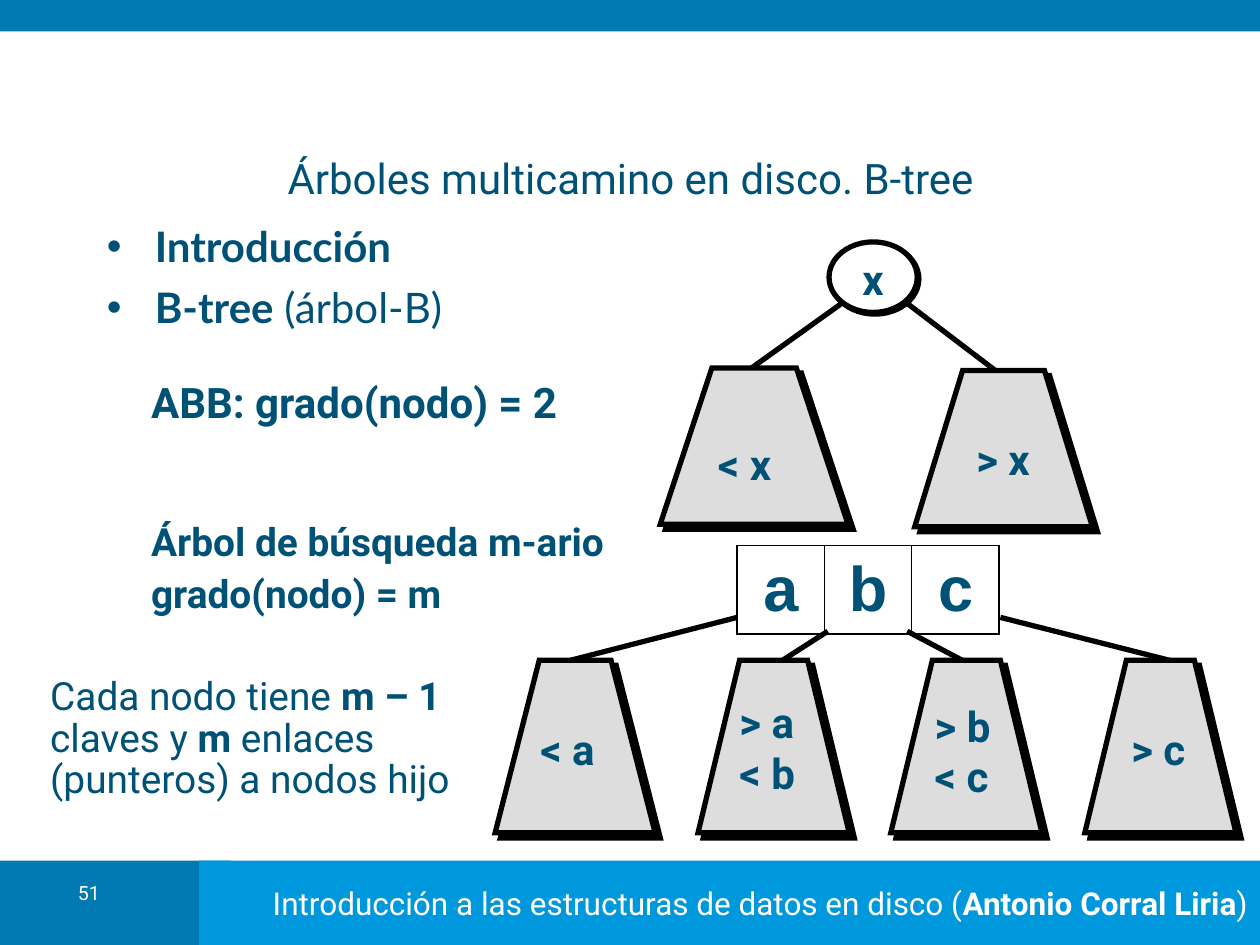
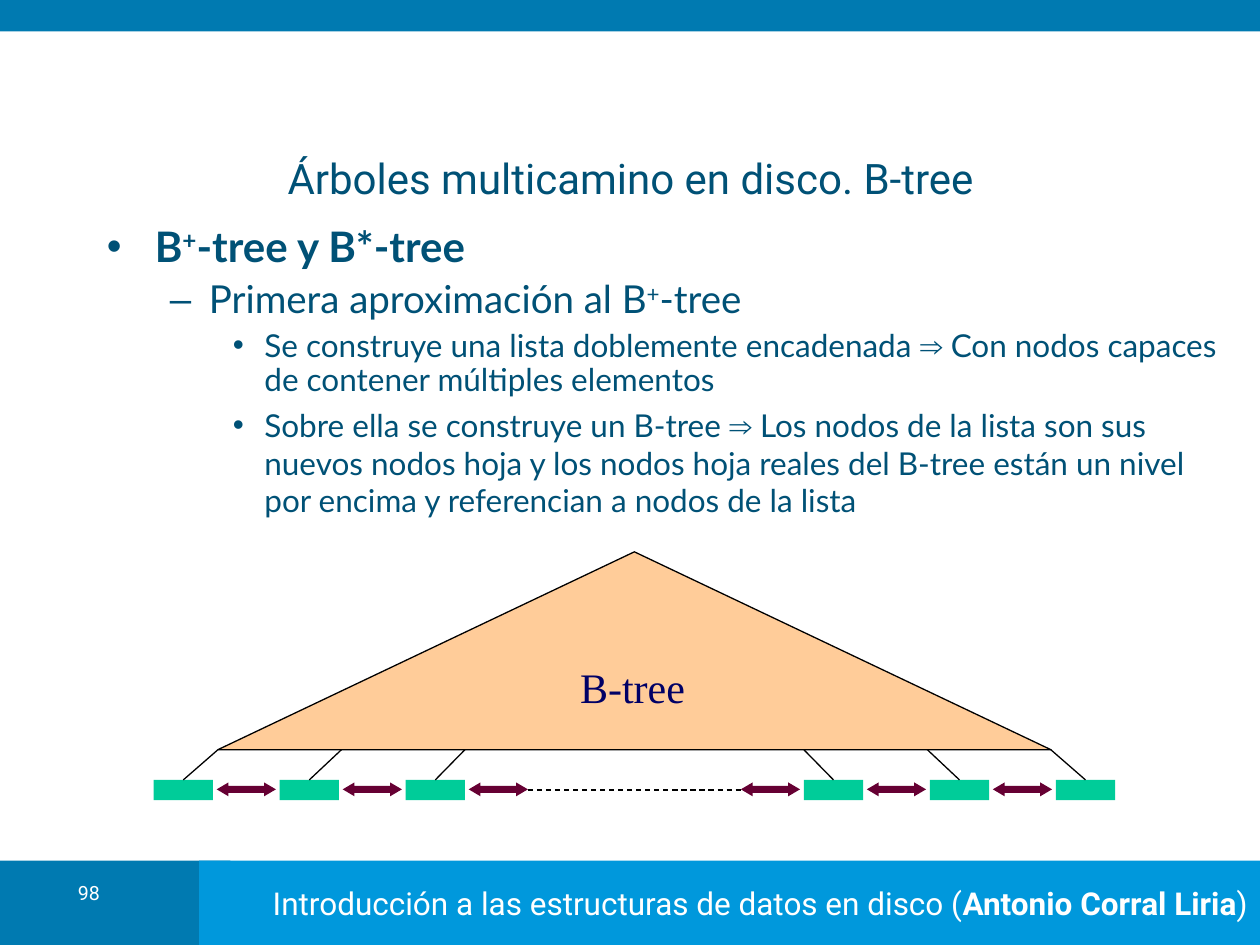
"""Build two slides on multiway trees on disk and B-trees."""
from dataclasses import dataclass
from typing import NamedTuple

from lxml import etree
from pptx import Presentation
from pptx import util as u
from pptx.dml import color as clr
from pptx.enum import dml, shapes as sh, text as tx
from pptx.oxml import ns


@dataclass(frozen=True)
class Theme:
    ink: str = "005176"
    navy: str = "000066"
    dark: str = "007AB1"
    light: str = "0098DC"
    white: str = "FFFFFF"
    black: str = "000000"
    gray: str = "DDDDDD"
    peach: str = "FFCC99"
    green: str = "00CC99"
    wine: str = "660033"
    sans: str = "Roboto"
    body: str = "Lato"
    arial: str = "Arial"
    serif: str = "Times New Roman"
    key: float = 36
    head: float = 24
    note: float = 22.2
    sub: float = 22
    foot: float = 18
    num: float = 11.2
    thick: float = 3
    thin: float = 0.75


T = Theme()


class Box(NamedTuple):
    x: float
    y: float
    w: float
    h: float


class Bit(NamedTuple):
    text: str
    bold: bool = False
    font: str = ""
    high: bool = False


class Mark(NamedTuple):
    char: str
    left: float
    hang: float


@dataclass(frozen=True)
class Para:
    bits: tuple[Bit, ...]
    size: float = T.head
    font: str = T.sans
    color: str = T.ink
    align: tx.PP_ALIGN = tx.PP_ALIGN.LEFT
    line: float = 1.0
    before: float = 0
    mark: Mark | None = None


@dataclass(frozen=True)
class Tree:
    box: Box
    inset: float
    text: str
    spot: Box


MID = tx.PP_ALIGN.CENTER
RECT = sh.MSO_SHAPE.RECTANGLE
TITLE = "Árboles multicamino en disco. B-tree"
BODY = Box(0.75, 1.7, 9.05, 5.12)
DOT = Mark("•", 0.38, 0.38)
DASH = Mark("–", 0.81, 0.31)
DEEP = Mark("•", 1.25, 0.25)

TREES = (
    Tree(Box(3.93, 5.24, 1.27, 1.37), 0.35, "< a", Box(4.19, 5.69, 1.18, 0.5)),
    Tree(Box(5.54, 5.24, 1.2, 1.37), 0.33, "> a\v< b", Box(5.77, 5.48, 0.85, 0.9)),
    Tree(Box(7.07, 5.24, 1.2, 1.37), 0.33, "> b\v< c", Box(7.32, 5.51, 0.85, 0.9)),
    Tree(Box(8.61, 5.24, 1.2, 1.37), 0.33, "> c", Box(8.88, 5.69, 0.85, 0.5)),
    Tree(Box(5.24, 2.92, 1.49, 1.24), 0.41, "< x", Box(5.6, 3.43, 1.13, 0.5)),
    Tree(Box(7.26, 2.94, 1.41, 1.24), 0.38, "> x", Box(7.65, 3.39, 1.13, 0.5)),
)
LINKS = (
    (7.2, 5.01, 7.75, 5.3), (7.94, 4.9, 9.32, 5.25),
    (5.85, 4.9, 4.53, 5.24), (6.57, 5.01, 6.18, 5.26),
    (6.9, 2.25, 5.91, 2.96), (6.94, 2.21, 8.03, 3.04),
)


def rgb(code: str) -> clr.RGBColor:
    return clr.RGBColor.from_string(code)


def emu(box: Box) -> list[u.Length]:
    return [u.Inches(v) for v in box]


def plain(*words: str, bold: bool = False, **look) -> list[Para]:
    return [Para((Bit(w, bold),), **look) for w in words]


def bullet(para, mark: Mark) -> None:
    props = para._p.get_or_add_pPr()
    props.set("marL", str(u.Inches(mark.left)))
    props.set("indent", str(-u.Inches(mark.hang)))
    tint = etree.SubElement(props, ns.qn("a:buClr"))
    etree.SubElement(tint, ns.qn("a:srgbClr"), val=T.ink)
    etree.SubElement(props, ns.qn("a:buFont"), typeface=T.arial)
    etree.SubElement(props, ns.qn("a:buChar"), char=mark.char)


def style(run, bit: Bit, look: Para) -> None:
    font = run.font
    font.name = bit.font or look.font
    font.size = u.Pt(look.size)
    font.bold = bit.bold
    font.color.rgb = rgb(look.color)
    if bit.high:
        run._r.get_or_add_rPr().set("baseline", "30000")


def write(frame, paras: list[Para], anchor=tx.MSO_ANCHOR.TOP) -> None:
    frame.word_wrap = True
    frame.auto_size = tx.MSO_AUTO_SIZE.NONE
    frame.vertical_anchor = anchor
    for i, look in enumerate(paras):
        para = frame.add_paragraph() if i else frame.paragraphs[0]
        if look.mark:
            bullet(para, look.mark)
        para.alignment = look.align
        para.line_spacing = look.line
        para.space_before = u.Pt(look.before if i else 0)
        if len(look.bits) == 1:
            para.text = look.bits[0].text
            for run in para.runs:
                style(run, look.bits[0], look)
        else:
            for bit in look.bits:
                run = para.add_run()
                run.text = bit.text
                style(run, bit, look)


def label(slide, box: Box, paras: list[Para]) -> None:
    write(slide.shapes.add_textbox(*emu(box)).text_frame, paras)


def paint(shape, fill: str, line: str = "", width: float = 0, drop: float = 0) -> None:
    shape.shadow.inherit = False
    shape.fill.solid()
    shape.fill.fore_color.rgb = rgb(fill)
    if line:
        shape.line.color.rgb = rgb(line)
        shape.line.width = u.Pt(width)
    else:
        shape.line.fill.background()
    if drop:
        effect = shape._element.spPr.find(ns.qn("a:effectLst"))
        shade = etree.SubElement(effect, ns.qn("a:outerShdw"), dist=str(u.Pt(drop)),
                                 dir="2700000", algn="ctr", rotWithShape="0")
        etree.SubElement(shade, ns.qn("a:srgbClr"), val=T.black)


def block(slide, kind, box: Box, fill: str, **look):
    shape = slide.shapes.add_shape(kind, *emu(box))
    paint(shape, fill, **look)
    return shape


def link(slide, ends: tuple[float, ...], width: float, dash: bool = False) -> None:
    line = slide.shapes.add_connector(sh.MSO_CONNECTOR.STRAIGHT, *map(u.Inches, ends))
    line.line.color.rgb = rgb(T.black)
    line.line.width = u.Pt(width)
    if dash:
        line.line.dash_style = dml.MSO_LINE.DASH
    etree.SubElement(line._element.spPr, ns.qn("a:effectLst"))


def frustum(slide, tree: Tree) -> None:
    x, y, w, h = tree.box
    low, gap = y + h, tree.inset
    dots = [(x + w - gap, y), (x + gap, y), (x, low)]
    pen = slide.shapes.build_freeform(u.Inches(x + w), u.Inches(low))
    pen.add_line_segments([(u.Inches(a), u.Inches(b)) for a, b in dots], close=True)
    shape = pen.convert_to_shape()
    paint(shape, T.gray, T.black, T.thick, drop=4.2)
    edge = shape._element.spPr.find(ns.qn("a:ln"))
    etree.SubElement(edge, ns.qn("a:miter"), lim="800000")


def keys(slide, box: Box, names: str) -> None:
    table = slide.shapes.add_table(1, len(names), *emu(box)).table
    table.first_row = table.horz_banding = False
    last = len(names) - 1
    for i, name in enumerate(names):
        cell = table.cell(0, i)
        write(cell.text_frame, plain(name, bold=True, size=T.key, font=T.arial, align=MID))
        cell.vertical_anchor = tx.MSO_ANCHOR.MIDDLE
        props = cell._tc.get_or_add_tcPr()
        edges = {"L": i == 0, "R": i == last, "T": True, "B": True}
        for side, outer in edges.items():
            edge = etree.SubElement(props, ns.qn(f"a:ln{side}"),
                                    w=str(u.Pt(1.08 if outer else 0.45)))
            ink = etree.SubElement(edge, ns.qn("a:solidFill"))
            etree.SubElement(ink, ns.qn("a:srgbClr"), val=T.black)
        cell.fill.background()


def frame(deck, number: str):
    slide = deck.slides.add_slide(deck.slide_layouts[5])
    block(slide, RECT, Box(0, 6.83, 1.83, 0.67), T.dark)
    foot = block(slide, RECT, Box(1.58, 6.83, 8.42, 0.67), T.light)
    credit = (Bit("Introducción a las estructuras de datos en disco ("),
              Bit("Antonio Corral Liria", True), Bit(")"))
    write(foot.text_frame, [Para(credit, T.foot, color=T.white, align=tx.PP_ALIGN.RIGHT)],
          tx.MSO_ANCHOR.MIDDLE)
    block(slide, RECT, Box(0, 0, 10, 0.25), T.dark)
    label(slide, Box(0.35, 6.98, 0.71, 0.32),
          plain(number, size=T.num, color=T.white, align=MID, line=0.8))
    title = slide.shapes.title
    title.left, title.top, title.width, title.height = emu(Box(0.83, 1.2, 8.35, 0.42))
    write(title.text_frame, plain(TITLE, align=MID), tx.MSO_ANCHOR.MIDDLE)
    return slide


def search(deck) -> None:
    slide = frame(deck, "51")
    label(slide, BODY, [
        Para((Bit("Introducción", True),), font=T.body, mark=DOT),
        Para((Bit("B-tree", True), Bit(" (árbol-B)")), font=T.body, before=6, mark=DOT),
    ])
    for ends in LINKS:
        link(slide, ends, T.thick)
    for tree in TREES:
        frustum(slide, tree)
        label(slide, tree.spot, plain(tree.text, bold=True))
    keys(slide, Box(5.85, 4.33, 2.08, 0.7), "abc")
    root = block(slide, sh.MSO_SHAPE.OVAL, Box(6.58, 1.92, 0.7, 0.56), T.white,
                 line=T.black, width=T.thick, drop=1.4)
    text = root.text_frame
    text.margin_left = text.margin_right = 0
    text.margin_top = text.margin_bottom = u.Inches(0.01)
    write(text, plain("x", bold=True, align=MID))
    label(slide, Box(1.1, 2.94, 3.88, 0.65), plain("ABB: grado(nodo) = 2", bold=True))
    label(slide, Box(1.1, 4.1, 4.45, 1.01),
          plain("Árbol de búsqueda m-ario", "grado(nodo) = m",
                bold=True, size=T.note, line=0.9, before=6))
    fact = (Bit("Cada nodo tiene "), Bit("m – 1 ", True), Bit("claves y "),
            Bit("m", True), Bit(" enlaces (punteros) a nodos hijo"))
    label(slide, Box(0.3, 5.32, 3.61, 1.34), [Para(fact, T.note, line=0.9)])


def leaves(deck) -> None:
    slide = frame(deck, "98")
    arrow = Bit("⇒", font=T.arial)
    first = (Bit("Se construye una lista doblemente encadenada "), arrow,
             Bit(" Con nodos capaces de contener múltiples elementos"))
    then = (Bit("Sobre ella se construye un B-tree "), arrow,
            Bit(" Los nodos de la lista son sus nuevos nodos hoja y los nodos hoja "
                "reales del B-tree están un nivel por encima y referencian a nodos "
                "de la lista"))
    label(slide, BODY, [
        Para((Bit("B", True), Bit("+", True, high=True), Bit("-tree y B*-tree", True)),
             font=T.body, mark=DOT),
        Para((Bit("Primera aproximación al B"), Bit("+", high=True), Bit("-tree")),
             T.sub, T.body, line=0.9, before=5.5, mark=DASH),
        Para(first, T.foot, T.body, line=0.9, before=4.5, mark=DEEP),
        Para(then, T.foot, T.body, before=4.5, mark=DEEP),
    ])
    block(slide, sh.MSO_SHAPE.ISOSCELES_TRIANGLE, Box(1.73, 4.38, 6.61, 1.57), T.peach,
          line=T.black, width=T.thin)
    wide, axis = 0.47, 10.07
    for i in range(3):
        node, jump, top = 1.22 + i, 1.72 + i, 1.73 + 0.98 * i
        hub = node + wide / 2
        for flip in (False, True):
            left, hop = (axis - wide - node, axis - wide - jump) if flip else (node, jump)
            block(slide, RECT, Box(left, 6.19, wide, 0.16), T.green)
            both = block(slide, sh.MSO_SHAPE.LEFT_RIGHT_ARROW,
                         Box(hop, 6.21, wide, 0.11), T.wine)
            both.adjustments[0], both.adjustments[1] = 0.5, 0.85
            low, high = (axis - hub, axis - top) if flip else (hub, top)
            link(slide, (low, 6.19, high, 5.95), T.thin)
    link(slide, (4.19, 6.27, 5.88, 6.27), T.thin, dash=True)
    label(slide, Box(4.28, 5.2, 1.48, 0.5),
          plain("B-tree", font=T.serif, color=T.navy, align=MID))


def main() -> None:
    deck = Presentation()
    deck.slide_width, deck.slide_height = u.Inches(10), u.Inches(7.5)
    search(deck)
    leaves(deck)
    deck.save("out.pptx")


if __name__ == "__main__":
    main()
